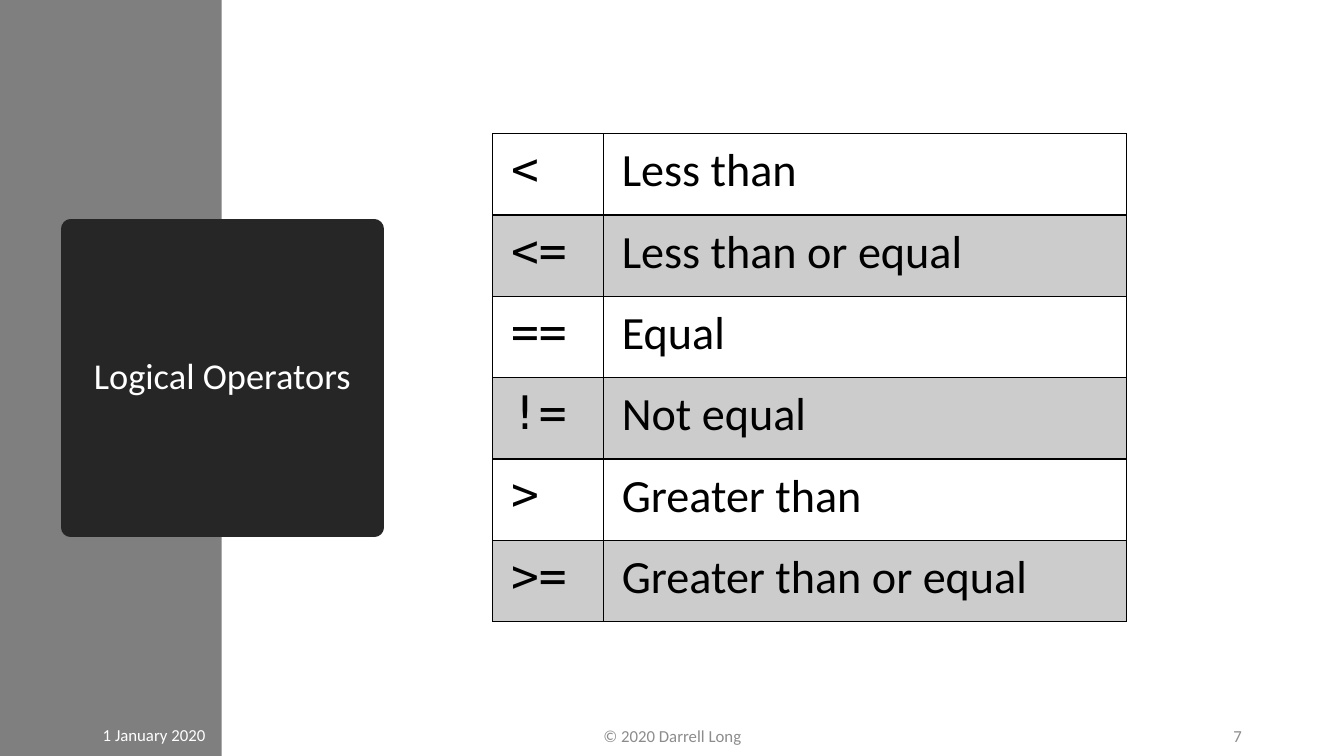
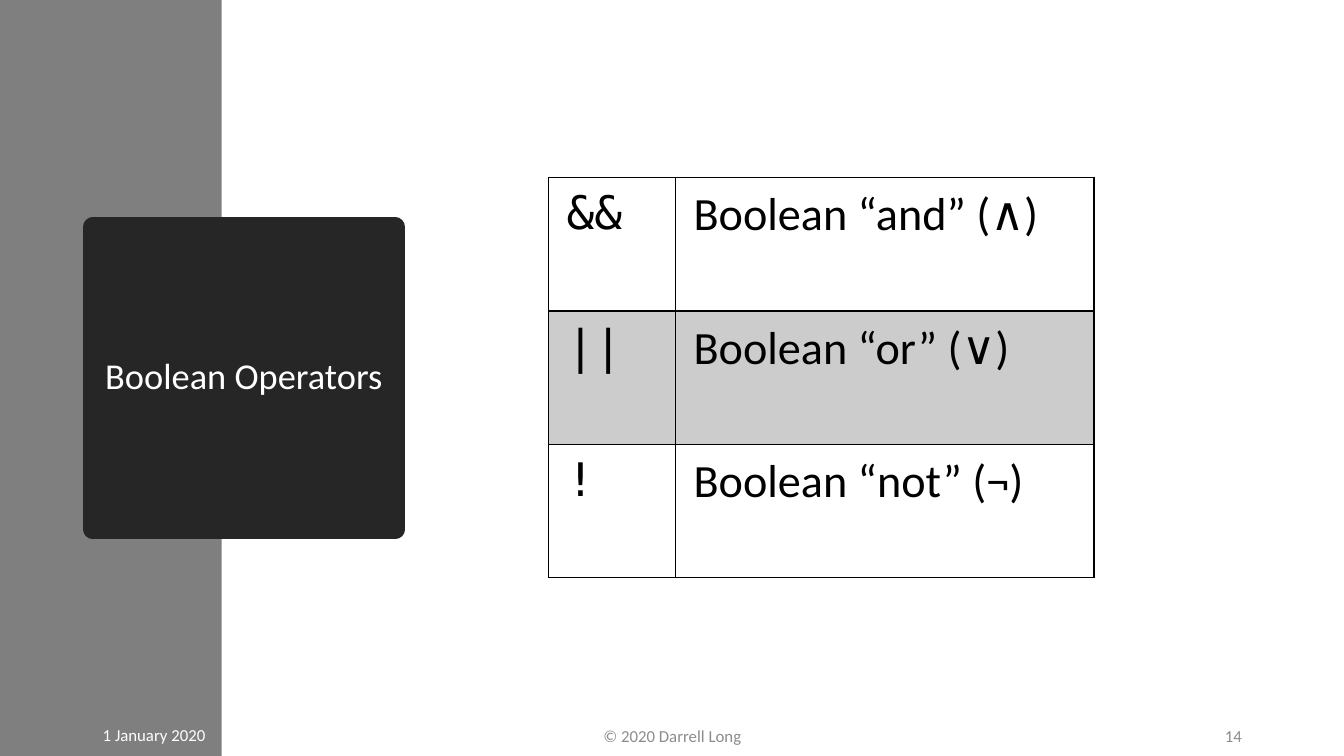
"""Build two slides that list the logical and Boolean operators in tables."""
from dataclasses import dataclass
from lxml import etree
from pptx import Presentation
from pptx.dml.color import RGBColor
from pptx.enum import shapes, text
from pptx.oxml import ns
from pptx.util import Cm, Pt

SLIDES = [
    {
        "title": "Logical Operators",
        "number": "7",
        "title_box": (1.78, 5.77, 7.65, 7.52),
        "table_corner": (12.42, 3.37),
        "columns": (2.79, 13.18),
        "row_height": 2.05,
        "rows": [
            ("<", "Less than"),
            ("<=", "Less than or equal"),
            ("==", "Equal"),
            ("!=", "Not equal"),
            (">", "Greater than"),
            (">=", "Greater than or equal"),
        ],
    },
    {
        "title": "Boolean Operators",
        "number": "14",
        "title_box": (2.34, 5.72, 7.62, 7.62),
        "table_corner": (13.82, 4.48),
        "columns": (3.2, 10.55),
        "row_height": 3.36,
        "rows": [
            ("&&", "Boolean “and” (∧)"),
            ("||", "Boolean “or” (∨)"),
            ("!", "Boolean “not” (¬)"),
        ],
    },
]
DATE = "1 January 2020"
COPYRIGHT = "© 2020 Darrell Long"
SLIDE_SIZE = (33.87, 19.05)
BAND_WIDTH = 5.59
DATE_BOX = (2.34, 18.01, 7.62, 1.02)
COPYRIGHT_BOX = (11.23, 18.03, 11.43, 1.02)
NUMBER_BOX = (23.93, 18.03, 7.62, 1.02)


@dataclass(frozen=True)
class Theme:
    band: str = "7F7F7F"
    panel: str = "262626"
    white: str = "FFFFFF"
    ink: str = "000000"
    muted: str = "8C8C8C"
    stripe: str = "CCCCCC"
    body_font: str = "Calibri"
    code_font: str = "DejaVu Sans Mono"
    title_size: float = 26
    table_size: float = 33
    footer_size: float = 12
    panel_line: float = 13.75
    border: float = 1
    header_border: float = 2


THEME = Theme()
ALIGN = text.PP_ALIGN


def lengths(values):
    return [Cm(value) for value in values]


def write(frame, words, size, color, font=THEME.body_font, align=ALIGN.LEFT, spacing=1.0):
    frame.text = words
    paragraph = frame.paragraphs[0]
    paragraph.alignment = align
    paragraph.line_spacing = spacing
    style = paragraph.runs[0].font
    style.name = font
    style.size = Pt(size)
    style.color.rgb = RGBColor.from_string(color)


def paint(shape, color):
    shape.fill.solid()
    shape.fill.fore_color.rgb = RGBColor.from_string(color)


def add_band(slide):
    band = slide.shapes.add_shape(
        shapes.MSO_SHAPE.RECTANGLE, 0, 0, *lengths((BAND_WIDTH, SLIDE_SIZE[1])))
    band.shadow.inherit = False
    paint(band, THEME.band)
    band.line.fill.background()
    return band


def set_title(slide, words, box, band):
    title = slide.shapes.title
    title.left, title.top, title.width, title.height = lengths(box)
    paint(title, THEME.panel)
    title.line.color.rgb = RGBColor.from_string(THEME.panel)
    title.line.width = Pt(THEME.panel_line)
    outline = title._element.spPr.find(ns.qn("a:ln"))
    etree.SubElement(outline, ns.qn("a:round"))
    frame = title.text_frame
    frame.auto_size = text.MSO_AUTO_SIZE.NONE
    frame.word_wrap = True
    frame.vertical_anchor = text.MSO_ANCHOR.MIDDLE
    frame.margin_left = frame.margin_right = Cm(0.1)
    write(frame, words, THEME.title_size, THEME.white, align=ALIGN.CENTER, spacing=0.9)
    band._element.addnext(title._element)


def add_footer(slide, words, box, color=THEME.muted, align=ALIGN.LEFT):
    frame = slide.shapes.add_textbox(*lengths(box)).text_frame
    frame.word_wrap = True
    frame.vertical_anchor = text.MSO_ANCHOR.MIDDLE
    write(frame, words, THEME.footer_size, color, align=align)


def add_borders(cell, top, bottom):
    properties = cell._tc.get_or_add_tcPr()
    widths = {"L": THEME.border, "R": THEME.border, "T": top, "B": bottom}
    for side, width in widths.items():
        line = etree.SubElement(properties, ns.qn(f"a:ln{side}"), w=str(Pt(width)))
        fill = etree.SubElement(line, ns.qn("a:solidFill"))
        etree.SubElement(fill, ns.qn("a:srgbClr"), val=THEME.ink)


def add_operator_table(slide, rows, corner, columns, row_height):
    size = (sum(columns), row_height * len(rows))
    table = slide.shapes.add_table(
        len(rows), len(columns), *lengths(corner + size)).table
    table.first_row = table.horz_banding = False
    for column, width in zip(table.columns, columns):
        column.width = Cm(width)
    borders = [THEME.border, THEME.header_border] + [THEME.border] * (len(rows) - 1)
    for row_index, words in enumerate(rows):
        table.rows[row_index].height = Cm(row_height)
        for column_index, font in enumerate((THEME.code_font, THEME.body_font)):
            cell = table.cell(row_index, column_index)
            cell.margin_left = cell.margin_right = Cm(0.46)
            cell.margin_top = cell.margin_bottom = Cm(0.23)
            add_borders(cell, borders[row_index], borders[row_index + 1])
            if row_index % 2:
                paint(cell, THEME.stripe)
            else:
                cell.fill.background()
            write(cell.text_frame, words[column_index], THEME.table_size, THEME.ink, font=font)


def main():
    presentation = Presentation()
    presentation.slide_width, presentation.slide_height = lengths(SLIDE_SIZE)
    title_only = presentation.slide_layouts[5]
    for content in SLIDES:
        slide = presentation.slides.add_slide(title_only)
        band = add_band(slide)
        set_title(slide, content["title"], content["title_box"], band)
        add_operator_table(slide, content["rows"], content["table_corner"],
                           content["columns"], content["row_height"])
        add_footer(slide, COPYRIGHT, COPYRIGHT_BOX, align=ALIGN.CENTER)
        add_footer(slide, content["number"], NUMBER_BOX, align=ALIGN.RIGHT)
        add_footer(slide, DATE, DATE_BOX, color=THEME.white)
    presentation.save("out.pptx")


if __name__ == "__main__":
    main()
